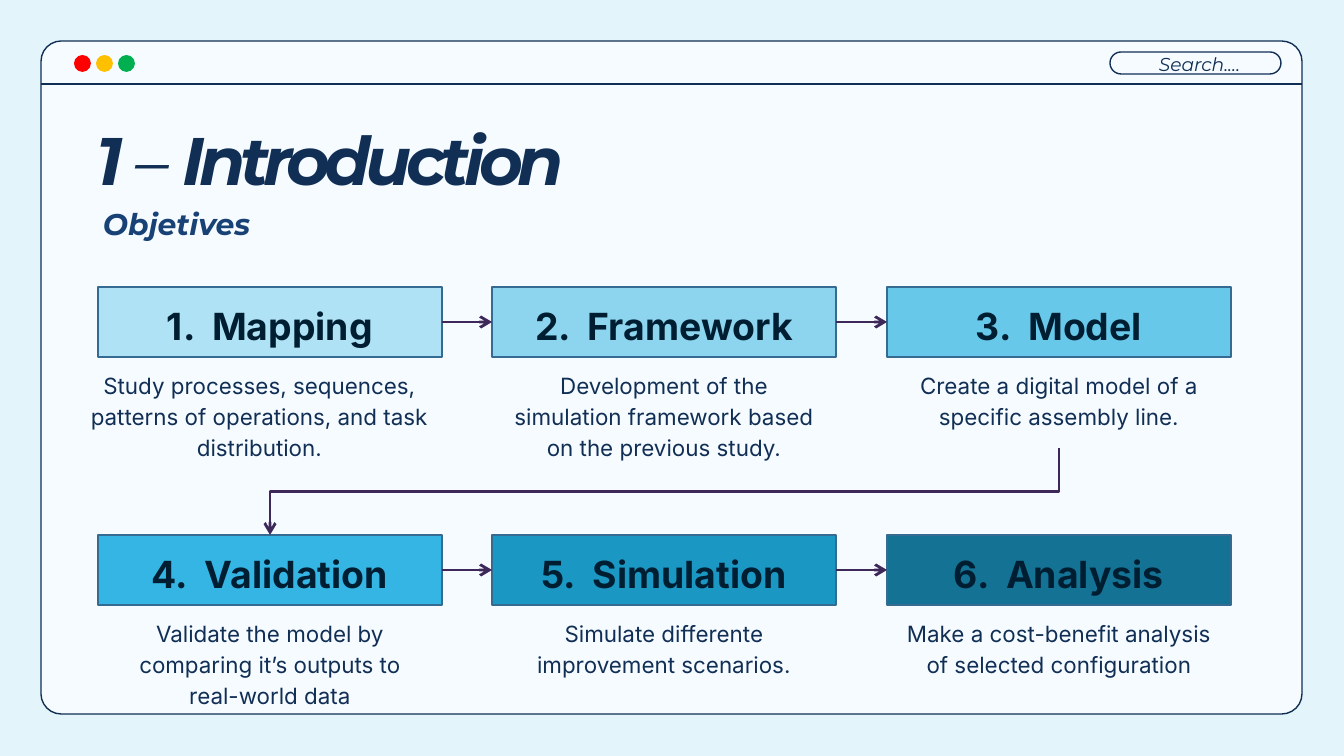
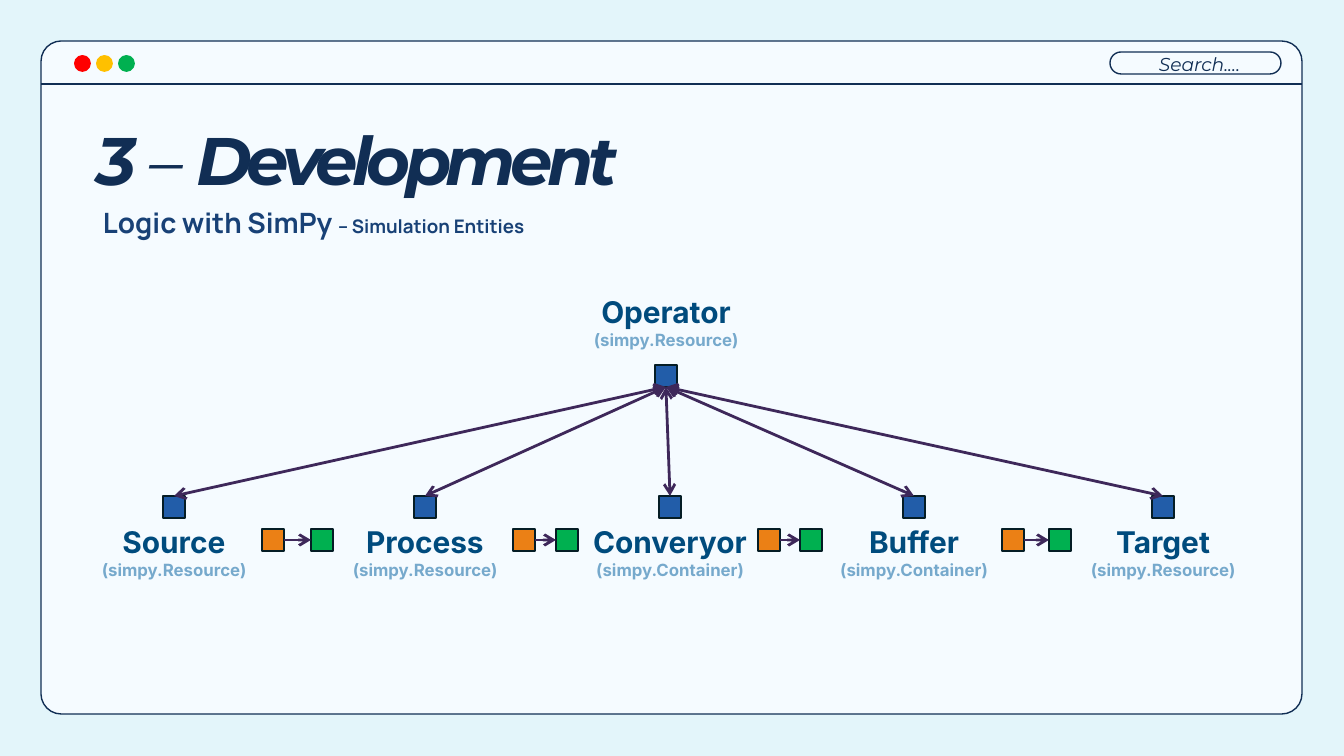
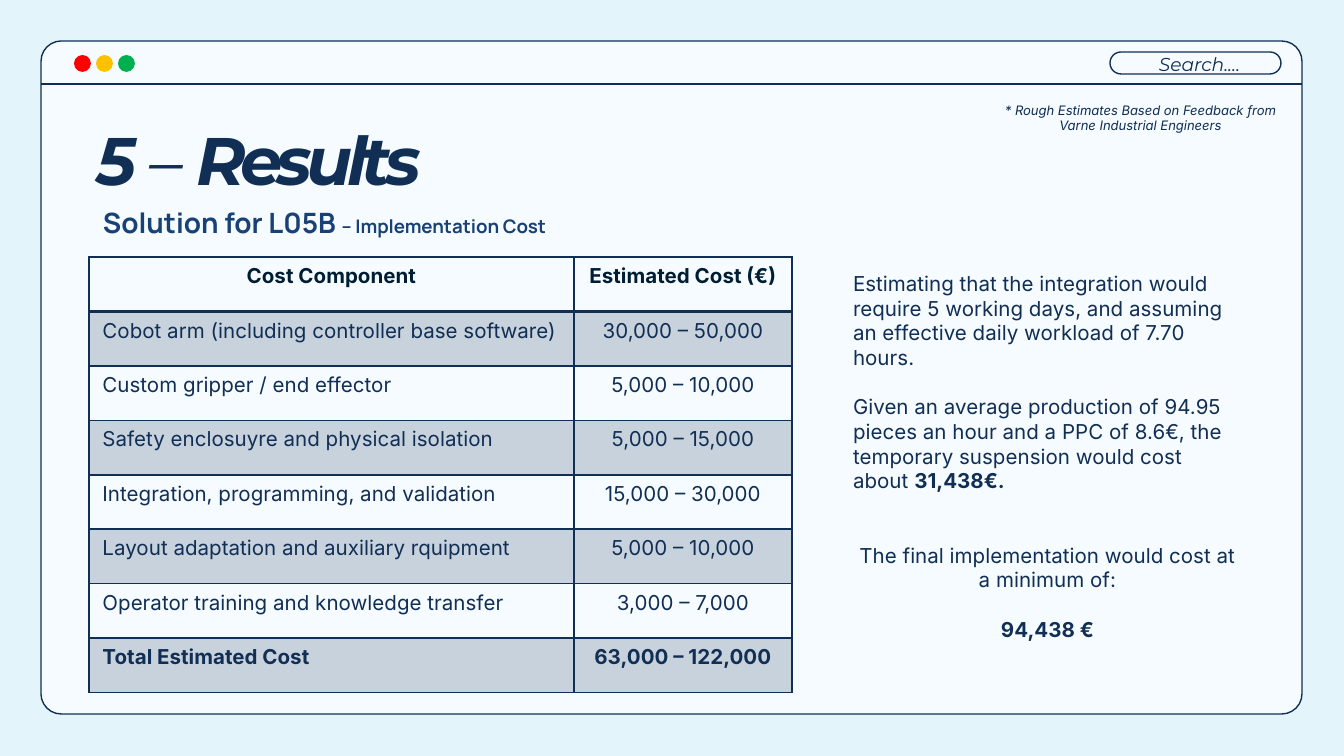
from lxml import etree
from pptx import Presentation
from pptx.dml.color import RGBColor
from pptx.enum.shapes import MSO_CONNECTOR, MSO_SHAPE
from pptx.enum.text import MSO_ANCHOR, MSO_AUTO_SIZE, PP_ALIGN
from pptx.oxml.ns import qn
from pptx.util import Emu, Pt

RECT, ROUND, OVAL = MSO_SHAPE.RECTANGLE, MSO_SHAPE.ROUNDED_RECTANGLE, MSO_SHAPE.OVAL
LINE, ELBOW = MSO_CONNECTOR.STRAIGHT, MSO_CONNECTOR.ELBOW
LEFT, MID = PP_ALIGN.LEFT, PP_ALIGN.CENTER
TOP, CENTRE, BASE = MSO_ANCHOR.TOP, MSO_ANCHOR.MIDDLE, MSO_ANCHOR.BOTTOM

SCALE = 9144000 / 1344  # EMU in one px
NAVY, INK, PAPER, SKY = "112E54", "001E32", "F5FBFF", "E3F5FA"
BLUE, PLUM, EDGE = "184176", "3E285A", "051D25"
GREEN, ORANGE, ROYAL = "00B050", "EB8015", "225DA9"


def px(n):
    return Emu(round(n * SCALE))


def rgb(code):
    return RGBColor.from_string(code)


def write(frame, paras, size=12, font="Inter", color=NAVY, bold=False,
          italic=False, align=LEFT, lead=None, gap=0, track=0,
          anchor=TOP, pad=(13, 13)):
    """Fill a frame; each paragraph is a string or a list of (text, format)."""
    base = dict(size=size, font=font, color=color, bold=bold, italic=italic,
                align=align, lead=lead, gap=gap, track=track)
    frame.word_wrap = True
    frame.auto_size = MSO_AUTO_SIZE.NONE
    frame.vertical_anchor = anchor
    frame.margin_left = frame.margin_right = px(pad[0])
    frame.margin_top = frame.margin_bottom = px(pad[1])
    for i, runs in enumerate(paras):
        para = frame.add_paragraph() if i else frame.paragraphs[0]
        if isinstance(runs, str):
            runs = [(runs, {})]
        for words, diff in runs:
            look = base | diff
            run = para.add_run()
            run.text = words
            run.font.size = Pt(look["size"])
            run.font.name = look["font"]
            run.font.bold = look["bold"]
            run.font.italic = look["italic"]
            run.font.color.rgb = rgb(look["color"])
            if look["track"]:
                run.font._element.set("spc", str(look["track"] * 100))
        para.alignment = look["align"]
        if look["lead"]:
            para.line_spacing = look["lead"]
        if look["gap"]:
            para.space_before = Pt(look["gap"])


class Deck:
    def __init__(self):
        self.prs = Presentation()
        self.prs.slide_width, self.prs.slide_height = px(1344), px(756)

    def shape(self, kind, x, y, w, h, fill=None, line=NAVY, width=0.75):
        item = self.slide.shapes.add_shape(kind, px(x), px(y), px(w), px(h))
        item.shadow.inherit = False
        if fill:
            item.fill.solid()
            item.fill.fore_color.rgb = rgb(fill)
        else:
            item.fill.background()
        item.line.color.rgb = rgb(line)
        item.line.width = Pt(width)
        return item

    def text(self, x, y, w, h, paras, **look):
        box = self.slide.shapes.add_textbox(px(x), px(y), px(w), px(h))
        write(box.text_frame, paras, **look)

    def link(self, x1, y1, x2, y2, kind=LINE, color=PLUM, width=1.5, ends=()):
        item = self.slide.shapes.add_connector(kind, px(x1), px(y1), px(x2), px(y2))
        item.line.color.rgb = rgb(color)
        item.line.width = Pt(width)
        props = item._element.spPr
        for end in ends:
            etree.SubElement(props.find(qn("a:ln")), qn("a:" + end), type="arrow")
        etree.SubElement(props, qn("a:effectLst"))
        return item

    def join(self, first, side, last, goal, ends=("tailEnd",)):
        item = self.link(0, 0, 1, 1, ends=ends)
        item.begin_connect(first, side)
        item.end_connect(last, goal)

    def drop(self, x1, y1, x2, y2):
        """Elbow that leaves downwards and arrives downwards, to the left."""
        cx, cy = (x1 + x2) / 2, (y1 + y2) / 2
        dx, dy = (y2 - y1) / 2, (x1 - x2) / 2
        item = self.link(cx - dx, cy - dy, cx + dx, cy + dy, ELBOW, ends=("tailEnd",))
        item._element.spPr.find(qn("a:xfrm")).set("rot", "5400000")

    def border(self, cell, sides):
        props = cell._tc.get_or_add_tcPr()
        for side, width in zip("LRTB", sides):
            ln = etree.SubElement(props, qn("a:ln" + side), w=str(Pt(width)))
            fill = etree.SubElement(ln, qn("a:solidFill"))
            etree.SubElement(fill, qn("a:srgbClr"), val=NAVY)

    def table(self, x, y, widths, h, rows):
        grid = self.slide.shapes.add_table(len(rows), len(widths), px(x), px(y),
                                           px(sum(widths)), px(h)).table
        grid.first_row = grid.horz_banding = False
        for col, width in zip(grid.columns, widths):
            col.width = px(width)
        for r, row in enumerate(rows):
            head = r == 0
            for c, words in enumerate(row):
                cell = grid.cell(r, c)
                self.border(cell, (1, 1, 2 if r == 1 else 1, 2 if head else 1))
                if r % 2:
                    cell.fill.solid()
                    cell.fill.fore_color.rgb = rgb(NAVY)
                    tint = cell._tc.tcPr.find(qn("a:solidFill"))[0]
                    etree.SubElement(tint, qn("a:alpha"), val="20000")
                else:
                    cell.fill.background()
                para = cell.text_frame.paragraphs[0]
                para.alignment = MID if c or head else LEFT
                run = para.add_run()
                run.text = words
                run.font.size, run.font.name = Pt(11), "Inter"
                run.font.bold = head or r == len(rows) - 1
                run.font.color.rgb = rgb(INK if head else NAVY)

    def open(self, number, name, top=164):
        """Start a slide with the window frame and its title."""
        self.slide = self.prs.slides.add_slide(self.prs.slide_layouts[5])
        back = self.slide.background.fill
        back.solid()
        back.fore_color.rgb = rgb(SKY)
        # Window frame, search field and buttons
        self.shape(ROUND, 41, 41, 1261, 673, PAPER).adjustments[0] = 0.03
        self.shape(ROUND, 1110, 52, 171, 22).adjustments[0] = 0.5
        self.link(41, 84, 1302, 84, color=NAVY, width=0.75)
        for i, tone in enumerate(("FF0000", "FFC000", GREEN)):
            self.shape(OVAL, 76 + 22 * i, 57, 13, 13, tone, tone, 2)
        self.text(1121, 63, 157, 25, ["Search.…"], size=10, font="Montserrat",
                  italic=True, align=MID, anchor=BASE)
        # Title, brought in front of the frame
        title = self.slide.shapes.title
        self.slide.shapes._spTree.append(title._element)
        title.left, title.top = px(83), px(top)
        title.width, title.height = px(1155), px(212 - top)
        write(title.text_frame,
              [[(number + " ", {}), ("–", {"bold": False}), (" " + name, {})]],
              size=36, font="Montserrat", bold=True, italic=True, track=-3,
              anchor=BASE)

    def lead(self, words, tail=None, w=492, **look):
        look = dict(size=15, font="Manrope", color=BLUE, bold=True, lead=1.15) | look
        runs = [(words, {})]
        if tail:
            runs.append((tail, {"size": 10}))
        self.text(89, 187, w, 70, [runs], pad=(14, 13), **look)


def intro(deck):
    deck.open("1", "Introduction", top=87)
    deck.lead("Objetives", size=16, font="Montserrat", italic=True)
    steps = [
        ("Mapping", "AEE2F4", "Study processes, sequences, patterns of operations, "
                              "and task distribution."),
        ("Framework", "8DD5EF", "Development of the simulation framework based on "
                                "the previous study."),
        ("Model", "68C8EA", "Create a digital model of a specific assembly line."),
        ("Validation", "35B5E3", "Validate the model by comparing it’s outputs to "
                                 "real-world data"),
        ("Simulation", "1B97C3", "Simulate differente improvement scenarios."),
        ("Analysis", "147294", "Make a cost-benefit analysis of selected configuration"),
    ]
    boxes = []
    for i, (name, tone, note) in enumerate(steps):
        row, col = divmod(i, 3)
        x, y = 98 + col * 789 // 2, 287 + 248 * row
        extra, side = (0, 16) if i else (21, 13)  # the first note is wider
        deck.text(x - extra, y + 68, 344 + extra, 93, [note], align=MID, lead=1.15,
                  pad=(side, 13))
        box = deck.shape(RECT, x, y, 344, 70, tone, "356B90")
        write(box.text_frame, [f"{i + 1}.  {name}"], size=20, color=INK, bold=True,
              align=MID, lead=1.15, anchor=CENTRE)
        boxes.append(box)
    # Flow
    for i in (0, 1, 3, 4):
        deck.join(boxes[i], 3, boxes[i + 1], 1)
    deck.drop(1059, 448, 270, 535)


def logic(deck):
    deck.open("3", "Development")
    deck.lead("Logic with SimPy ", "– Simulation Entities")

    def square(cx, y, tone):
        return deck.shape(RECT, cx - 11, y, 22, 22, tone, EDGE, 1)

    def label(cx, y, name, kind):
        deck.text(cx - 103, y, 206, 70,
                  [name, [(f"(simpy.{kind})", {"size": 9, "color": "76A9CC"})]],
                  size=16, color="004B7D", bold=True, align=MID, pad=(13, 7))

    label(666, 287, "Operator", "Resource")
    chief = square(666, 365, ROYAL)
    units = [(174, "Source", "Resource"), (425, "Process", "Resource"),
             (670, "Converyor", "Container"), (914, "Buffer", "Container"),
             (1163, "Target", "Resource")]
    tops, gates, exits = [], [], []
    for i, (cx, name, kind) in enumerate(units):
        label(cx, 517, name, kind)
        if i > 0:
            gates.append(square(cx - 103, 529, GREEN))
        if i < len(units) - 1:
            exits.append(square(cx + 99, 529, ORANGE))
        tops.append(square(cx, 496, ROYAL))
    # Links along the line, then to the operator
    for out, gate in zip(exits, gates):
        deck.join(out, 3, gate, 1)
    for top in tops:
        deck.join(top, 0, chief, 2, ends=("headEnd", "tailEnd"))


def costs(deck):
    deck.open("5", "Results")
    deck.lead("Solution for L05B ", "– Implementation Cost", w=583)
    deck.text(840, 258, 415, 403, [
        "Estimating that the integration would require 5 working days, and assuming "
        "an effective daily workload of 7.70 hours.",
        [("Given an average production of 94.95 pieces an hour and a PPC of 8.6€, "
          "the temporary suspension would cost about ", {}),
         ("31,438€.", {"bold": True, "gap": 13.3})],
        [("The final implementation would cost at a minimum of:",
          {"align": MID, "gap": 26.6})],
        [("94,438 €", {"bold": True, "align": MID, "gap": 13.3})],
    ], size=11)
    deck.text(986, 89, 309, 98,
              ["* Rough Estimates Based on Feedback from Varne Industrial Engineers"],
              size=7, italic=True, align=MID)
    deck.table(89, 257, (485, 218), 436, [
        ("Cost Component", "Estimated Cost (€)"),
        ("Cobot arm (including controller base software)", "30,000 – 50,000"),
        ("Custom gripper / end effector", "5,000 – 10,000"),
        ("Safety enclosuyre and physical isolation", "5,000 – 15,000"),
        ("Integration, programming, and validation", "15,000 – 30,000"),
        ("Layout adaptation and auxiliary rquipment", "5,000 – 10,000"),
        ("Operator training and knowledge transfer", "3,000 – 7,000"),
        ("Total Estimated Cost", "63,000 – 122,000"),
    ])


def main():
    deck = Deck()
    for build in (intro, logic, costs):
        build(deck)
    deck.prs.save("out.pptx")


if __name__ == "__main__":
    main()
